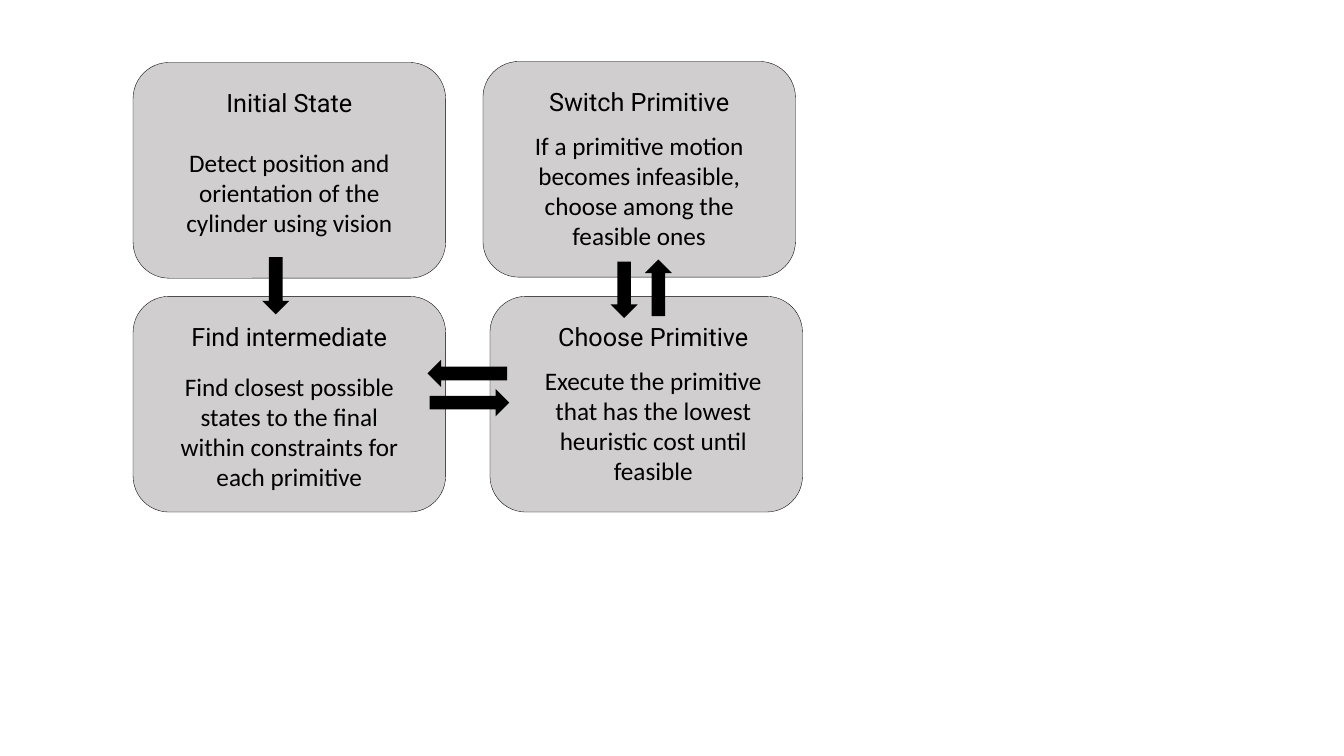
import pptx
import pptx.util
import pptx.dml.color
import pptx.enum.shapes
import pptx.enum.text

Inches = pptx.util.Inches
Shape = pptx.enum.shapes.MSO_SHAPE
Color = pptx.dml.color.RGBColor.from_string
theme = {
    "card": "D0CECE", "ink": "000000",
    "head": "Roboto", "body": "Calibri", "size": 18, "line": 0.25,
}

deck = pptx.Presentation()
deck.slide_width, deck.slide_height = Inches(13.33), Inches(7.5)
slide = deck.slides.add_slide(deck.slide_layouts[6])


def add_text(text, *, left, top, width, height, font):
    box = slide.shapes.add_textbox(
        Inches(left), Inches(top), Inches(width), Inches(height))
    frame = box.text_frame
    frame.word_wrap = True
    frame.auto_size = pptx.enum.text.MSO_AUTO_SIZE.SHAPE_TO_FIT_TEXT
    para = frame.paragraphs[0]
    para.alignment = pptx.enum.text.PP_ALIGN.CENTER
    run = para.add_run()
    run.text = text
    run.font.name = font
    run.font.size = pptx.util.Pt(theme["size"])
    run.font.color.rgb = Color(theme["ink"])


def add_shape(kind, left, top, width, height, fill):
    shape = slide.shapes.add_shape(
        kind, Inches(left), Inches(top), Inches(width), Inches(height))
    shape.shadow.inherit = False
    shape.fill.solid()
    shape.fill.fore_color.rgb = Color(fill)
    shape.line.fill.background()
    return shape


# State cards: left, top, text shift, body top, body height, title, body
card_w, card_h, inset = 3.1, 2.14, 0.28
cards = [
    (1.32, 0.62, 0, 1.41, 1.01, "Initial State",
     "Detect position and orientation of the cylinder using vision"),
    (1.32, 2.94, 0, 3.63, 1.31, "Find intermediate",
     "Find closest possible states to the final within constraints "
     "for each primitive"),
    (4.86, 2.94, 0.07, 3.57, 1.31, "Choose Primitive",
     "Execute the primitive that has the lowest heuristic cost "
     "until feasible"),
    (4.79, 0.61, 0, 1.24, 1.31, "Switch Primitive",
     "If a primitive motion becomes infeasible, choose among the "
     "feasible ones"),
]
for left, top, shift, body_top, body_h, title, body in cards:
    card = add_shape(Shape.ROUNDED_RECTANGLE, left, top, card_w, card_h,
                     theme["card"])
    card.line.color.rgb = Color(theme["ink"])
    card.line.width = pptx.util.Pt(theme["line"])
    add_text(title, left=left + shift, top=top + 0.2, width=card_w,
             height=0.4, font=theme["head"])
    add_text(body, left=left + shift + inset, top=body_top,
             width=card_w - 2 * inset, height=body_h, font=theme["body"])

# Block arrows between the states: left, top, length, turn
arrows = [
    (2.45, 2.7, 0.57, 90),
    (4.24, 3.57, 0.79, 180),
    (4.26, 3.86, 0.79, 0),
    (5.91, 2.74, 0.56, 90),
    (6.25, 2.72, 0.56, 270),
]
for left, top, length, turn in arrows:
    arrow = add_shape(Shape.RIGHT_ARROW, left, top, length, 0.27,
                      theme["ink"])
    arrow.rotation = turn

deck.save("out.pptx")
